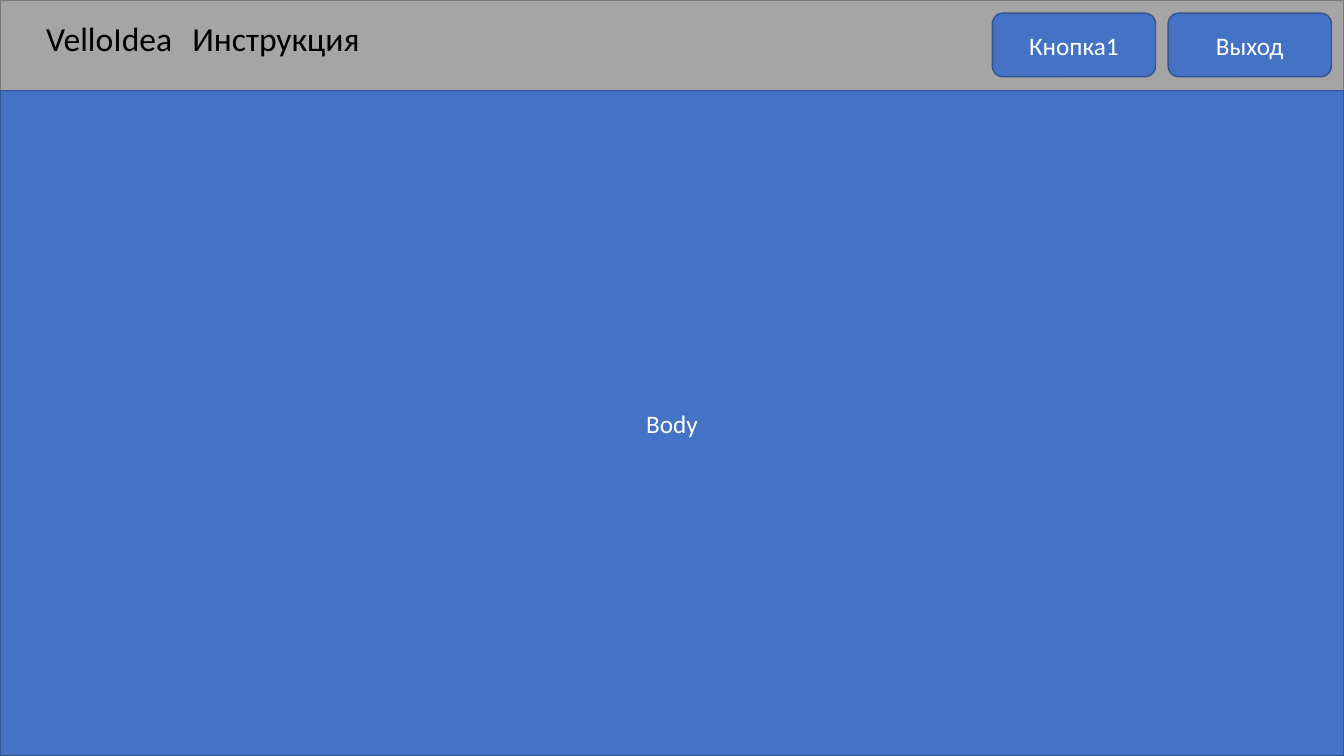
import pptx
import pptx.util
import pptx.dml.color
import pptx.enum.shapes
import pptx.enum.text

Pt = pptx.util.Pt
Color = pptx.dml.color.RGBColor.from_string
Kind = pptx.enum.shapes.MSO_SHAPE
Text = pptx.enum.text

theme = {
    "font": "Calibri", "title": 24, "label": 18,
    "black": "000000", "white": "FFFFFF",
    "gray": ("A5A5A5", "7A7A7A"), "blue": ("4472C4", "325491"),
}

deck = pptx.Presentation()
deck.slide_width, deck.slide_height = Pt(960), Pt(540)
slide = deck.slides.add_slide(deck.slide_layouts[6])


def write(shape, text, size, color):
    shape.text_frame.text = text
    font = shape.text_frame.paragraphs[0].runs[0].font
    font.name = theme["font"]
    font.size = Pt(theme[size])
    font.color.rgb = Color(theme[color])


def panel(kind, box, tone, text=None):
    shape = slide.shapes.add_shape(kind, *map(Pt, box))
    shape.shadow.inherit = False
    fill, line = theme[tone]
    shape.fill.solid()
    shape.fill.fore_color.rgb = Color(fill)
    shape.line.color.rgb = Color(line)
    shape.line.width = Pt(1)
    if text:
        write(shape, text, "label", "white")
        shape.text_frame.vertical_anchor = Text.MSO_ANCHOR.MIDDLE
        shape.text_frame.paragraphs[0].alignment = Text.PP_ALIGN.CENTER


head = 64.8
top = 9.4
panel(Kind.RECTANGLE, (0, 0, 960, head), "gray")

for text, left, width in (("VelloIdea", 25.9, 108.7), ("Инструкция", 130.3, 135.4)):
    title = slide.shapes.add_textbox(Pt(left), Pt(top), Pt(width), Pt(36))
    write(title, text, "title", "black")
    title.text_frame.word_wrap = False
    title.text_frame.auto_size = Text.MSO_AUTO_SIZE.SHAPE_TO_FIT_TEXT

for spot, text in enumerate(("Выход", "Кнопка1")):
    left = 834.4 - spot * 125.6
    panel(Kind.ROUNDED_RECTANGLE, (left, top, 116.6, 45.4), "blue", text)

panel(Kind.RECTANGLE, (0, head, 960, 540 - head), "blue", "Body")

deck.save("out.pptx")
